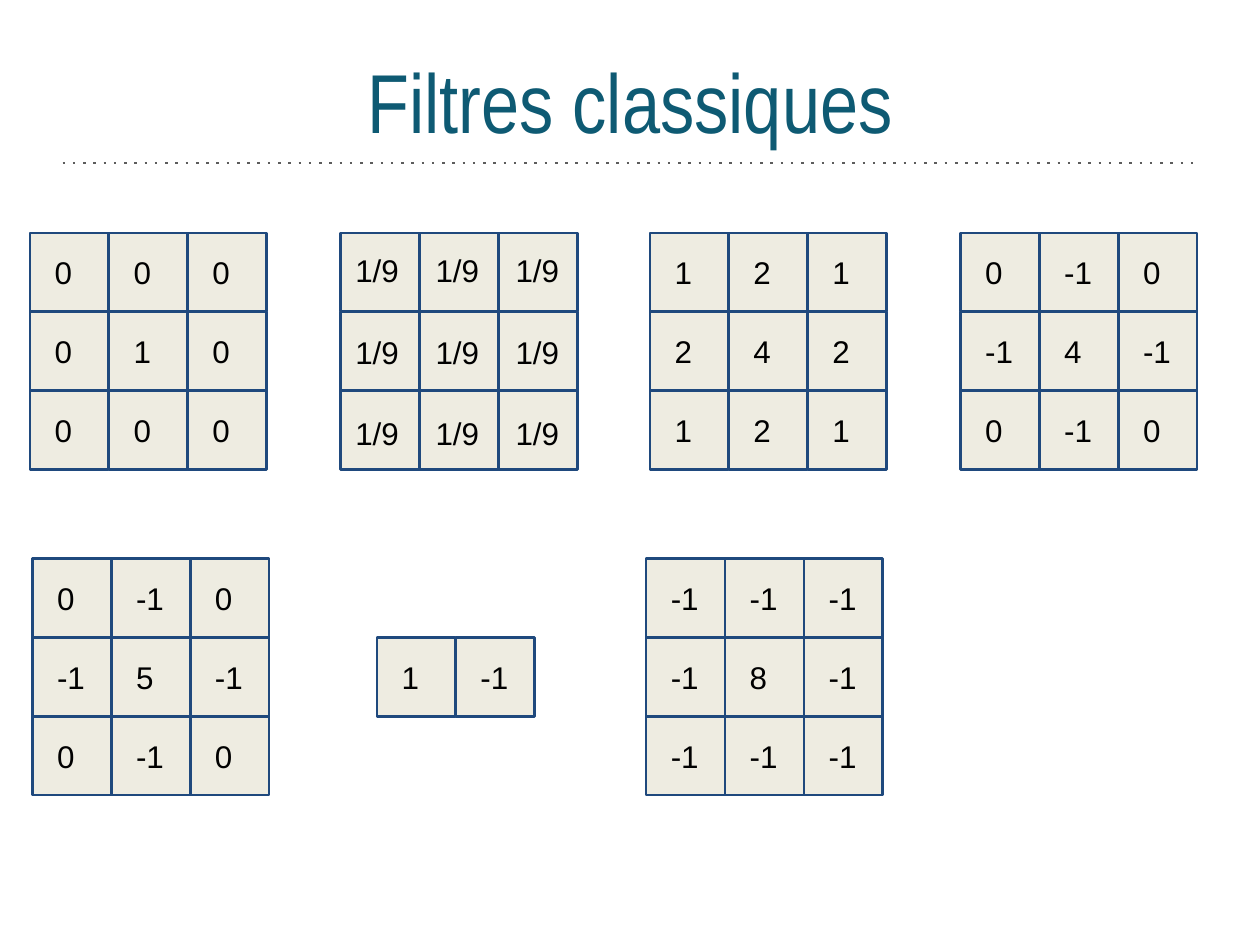
from lxml.etree import SubElement
from pptx import Presentation
from pptx.dml.color import RGBColor
from pptx.enum.dml import MSO_LINE
from pptx.enum.shapes import MSO_CONNECTOR, MSO_SHAPE
from pptx.enum.text import MSO_ANCHOR, PP_ALIGN
from pptx.oxml.ns import qn
from pptx.util import Pt

PX = 4572  # EMU per pixel, 200 pixels to the inch
SLIDE_WIDTH, SLIDE_HEIGHT = 1006, 756
CELL = 63
INSET = 20
TOP_ROW, BOTTOM_ROW = 186, 446
FRACTION = "1/9"

# Left, top and coefficients of each filter
FILTERS = [
    (24, TOP_ROW, ["0 0 0", "0 1 0", "0 0 0"]),
    (272, TOP_ROW, [f"{FRACTION} {FRACTION} {FRACTION}"] * 3),
    (519, TOP_ROW, ["1 2 1", "2 4 2", "1 2 1"]),
    (767, TOP_ROW, ["0 -1 0", "-1 4 -1", "0 -1 0"]),
    (26, BOTTOM_ROW, ["0 -1 0", "-1 5 -1", "0 -1 0"]),
    (301, BOTTOM_ROW + CELL, ["1 -1"]),
    (516, BOTTOM_ROW, ["-1 -1 -1", "-1 8 -1", "-1 -1 -1"]),
]


def px(*lengths):
    return [length * PX for length in lengths]


def color(value):
    return RGBColor.from_string(value)


def write(shape, text, size, font, ink, align=PP_ALIGN.LEFT):
    frame = shape.text_frame
    frame.word_wrap = True
    frame.vertical_anchor = MSO_ANCHOR.MIDDLE
    frame.margin_left = frame.margin_top = frame.margin_bottom = INSET * PX
    frame.margin_right = 0 if align == PP_ALIGN.LEFT else INSET * PX
    para = frame.paragraphs[0]
    para.text = text
    para.alignment = align
    para.font.size = Pt(size)
    para.font.name = font
    para.font.color.rgb = color(ink)


def add_heading(page, left, top, width, height):
    # Dotted rule
    rule_y = top + 130
    rule = page.shapes.add_connector(
        MSO_CONNECTOR.STRAIGHT,
        *px(left + 50, rule_y, left + width - 50, rule_y))
    rule.line.color.rgb = color("5C5C5C")
    rule.line.width = Pt(0.75)
    rule.line.dash_style = MSO_LINE.ROUND_DOT
    rule.element.find(".//" + qn("a:prstDash")).set("val", "dot")
    SubElement(rule.element.spPr, qn("a:effectLst"))

    # Title
    title = page.shapes.add_textbox(*px(left, top, width, height))
    write(title, "Filtres classiques", 24, "Arial Narrow", "0E5A73",
          PP_ALIGN.CENTER)


def add_filter(page, left, top, rows):
    group = page.shapes.add_group_shape()
    for row, line in enumerate(rows):
        for column, value in enumerate(line.split()):
            # Cell
            cell = group.shapes.add_shape(
                MSO_SHAPE.RECTANGLE,
                *px(left + column * CELL, top + row * CELL, CELL, CELL))
            cell.shadow.inherit = False
            cell.fill.solid()
            cell.fill.fore_color.rgb = color("EEECE1")
            cell.line.color.rgb = color("1F497D")
            cell.line.width = Pt(0.75)

            # Fractions are wider than a cell allows, so they get own boxes
            label = cell
            if value == FRACTION:
                label = page.shapes.add_textbox(
                    *px(left - 8 + column * 64, top + row * 65, 78, 60))
            write(label, value, 9, "Arial", "000000")


def main():
    deck = Presentation()
    deck.slide_width, deck.slide_height = px(SLIDE_WIDTH, SLIDE_HEIGHT)
    page = deck.slides.add_slide(deck.slide_layouts[6])
    add_heading(page, 0, 0, SLIDE_WIDTH, 160)
    for left, top, rows in FILTERS:
        add_filter(page, left, top, rows)
    deck.save("out.pptx")


if __name__ == "__main__":
    main()
